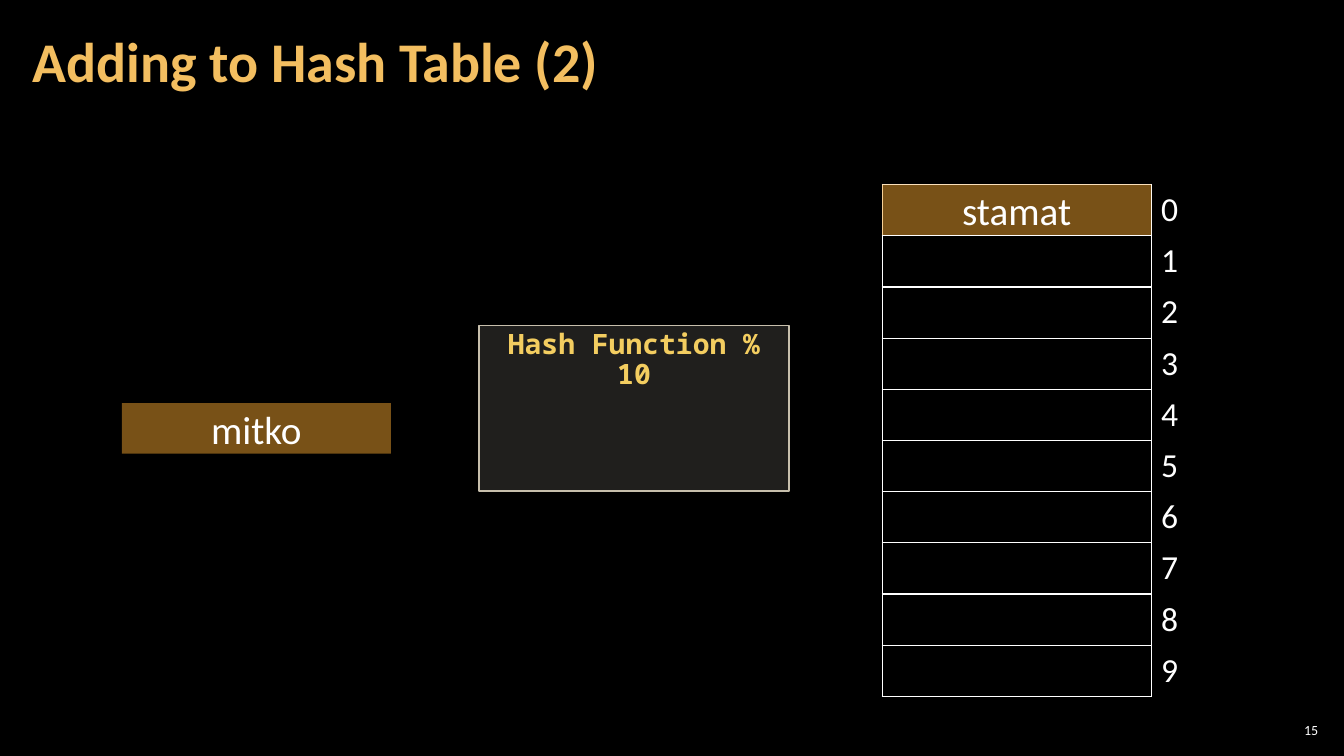
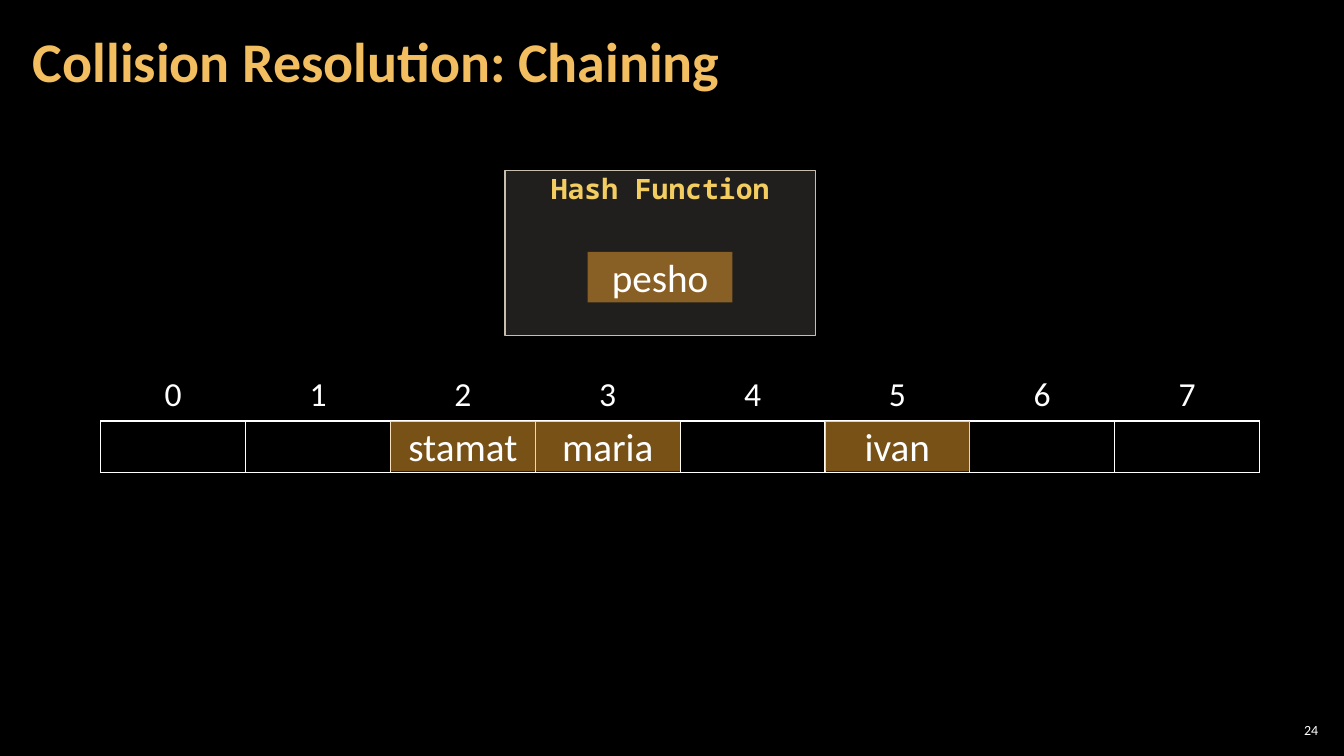
from lxml import etree
from pptx import Presentation
from pptx.dml.color import RGBColor
from pptx.enum.shapes import MSO_SHAPE
from pptx.enum.text import MSO_ANCHOR, PP_ALIGN
from pptx.oxml.ns import qn
from pptx.util import Cm, Pt

RECTANGLE = MSO_SHAPE.RECTANGLE
PROCESS = MSO_SHAPE.FLOWCHART_PROCESS
TOP, MIDDLE = MSO_ANCHOR.TOP, MSO_ANCHOR.MIDDLE
LEFT, CENTER, RIGHT = PP_ALIGN.LEFT, PP_ALIGN.CENTER, PP_ALIGN.RIGHT

COLORS = {
    "background": "000000",
    "text": "FFFFFF",
    "title": "F3BE60",
    "item": "F0A22E",
    "panel": "D9D5C7",
    "panel_line": "C7BFAC",
    "caption": "F3CD60",
}
BODY_FONT, CODE_FONT = "Calibri", "Noto Sans Mono"
PLAIN_TABLE_STYLE = "{2D5ABB26-0587-4C30-8999-92F81FD0307C}"

ROW_HEIGHT = 1.29
ITEM_HEIGHT = 1.27


def color(name):
    return RGBColor.from_string(COLORS[name])


def write(frame, text, size, color_name="text", align=LEFT, anchor=MIDDLE,
          font=BODY_FONT, bold=False, spacing=None):
    frame.word_wrap = True
    frame.vertical_anchor = anchor
    para = frame.paragraphs[0]
    para.text = text
    para.alignment = align
    para.line_spacing = spacing
    para.font.name = font
    para.font.size = Pt(size)
    para.font.bold = bold
    para.font.color.rgb = color(color_name)


def add_text(page, left, top, width, height, side_margin, text, size, **style):
    box = page.shapes.add_textbox(Cm(left), Cm(top), Cm(width), Cm(height))
    frame = box.text_frame
    frame.margin_left = frame.margin_right = Cm(side_margin)
    frame.margin_top = frame.margin_bottom = Cm(0.1)
    write(frame, text, size, **style)


def add_page(deck, title, number):
    page = deck.slides.add_slide(deck.slide_layouts[6])
    add_text(page, 0.53, 0.1, 26.6, 3.07, 0.3, title, 40,
             color_name="title", bold=True, spacing=0.9)
    add_text(page, 32.13, 18.14, 1.19, 0.53, 0.1, str(number), 10, align=RIGHT)
    return page


def add_block(page, preset, left, top, width, height, fill, opacity):
    """Add a shape with a see-through fill; opacity is in percent."""
    block = page.shapes.add_shape(preset, Cm(left), Cm(top), Cm(width), Cm(height))
    block.shadow.inherit = False
    block.fill.solid()
    block.fill.fore_color.rgb = color(fill)
    tint = block.fill._xPr.find(qn("a:solidFill"))[0]
    etree.SubElement(tint, qn("a:alpha"), val=str(opacity * 1000))
    return block


def add_item(page, left, top, width, text):
    item = add_block(page, PROCESS, left, top, width, ITEM_HEIGHT, "item", 50)
    item.line.fill.background()
    write(item.text_frame, text, 28, align=CENTER)


def add_hash_function(page, left, top, caption):
    panel = add_block(page, RECTANGLE, left, top, 7.82, 4.17, "panel", 15)
    panel.line.color.rgb = color("panel_line")
    panel.line.width = Pt(1)
    write(panel.text_frame, caption, 20, color_name="caption", align=CENTER,
          anchor=TOP, font=CODE_FONT, bold=True, spacing=0.9)


def add_grid(page, left, top, widths, row_count):
    """Add a table without fills or borders."""
    frame = page.shapes.add_table(row_count, len(widths), Cm(left), Cm(top),
                                  Cm(sum(widths)), Cm(ROW_HEIGHT * row_count))
    table = frame.table
    table.first_row = table.horz_banding = False
    table._tbl.tblPr.find(qn("a:tableStyleId")).text = PLAIN_TABLE_STYLE
    for column, width in zip(table.columns, widths):
        column.width = Cm(width)
    for row in table.rows:
        row.height = Cm(ROW_HEIGHT)
    return table


def style_cell(cell, sides):
    """Draw borders on the given sides, in the order L, R, T, B."""
    properties = cell._tc.get_or_add_tcPr()
    for side in sides:
        line = etree.SubElement(properties, qn(f"a:ln{side}"), w=str(Pt(1)))
        fill = etree.SubElement(line, qn("a:solidFill"))
        etree.SubElement(fill, qn("a:srgbClr"), val=COLORS["text"])
    cell.fill.background()


def write_index(cell, index, align, anchor):
    write(cell.text_frame, str(index), 24, align=align)
    cell.vertical_anchor = anchor


def build_adding_page(deck):
    page = add_page(deck, "Adding to Hash Table (2)", 15)
    left, top, slot_width = 22.23, 4.65, 6.78
    table = add_grid(page, left, top, [slot_width, 1.42], 10)
    for index in range(10):
        slot, label = table.cell(index, 0), table.cell(index, 1)
        style_cell(slot, "LRTB")
        style_cell(label, "L")
        write_index(label, index, LEFT, TOP)
    add_item(page, left, top, slot_width, "stamat")
    add_item(page, 3.07, 10.16, slot_width, "mitko")
    add_hash_function(page, 12.07, 8.2, "Hash Function % 10")


def build_chaining_page(deck):
    page = add_page(deck, "Collision Resolution: Chaining", 24)
    left, top, slot_width = 2.54, 9.32, 3.65
    add_hash_function(page, 12.73, 4.29, "Hash Function")
    table = add_grid(page, left, top, [slot_width] * 8, 2)
    for index in range(8):
        label, slot = table.cell(0, index), table.cell(1, index)
        style_cell(label, "B")
        style_cell(slot, "LRTB")
        write_index(label, index, CENTER, MIDDLE)
    for index, name in {2: "stamat", 3: "maria", 5: "ivan"}.items():
        add_item(page, left + index * slot_width, top + ROW_HEIGHT, slot_width, name)
    add_item(page, 14.81, 6.35, slot_width, "pesho")


def main():
    deck = Presentation()
    deck.slide_width, deck.slide_height = Cm(33.87), Cm(19.05)
    background = deck.slide_master.background.fill
    background.solid()
    background.fore_color.rgb = color("background")
    build_adding_page(deck)
    build_chaining_page(deck)
    deck.save("out.pptx")


if __name__ == "__main__":
    main()
